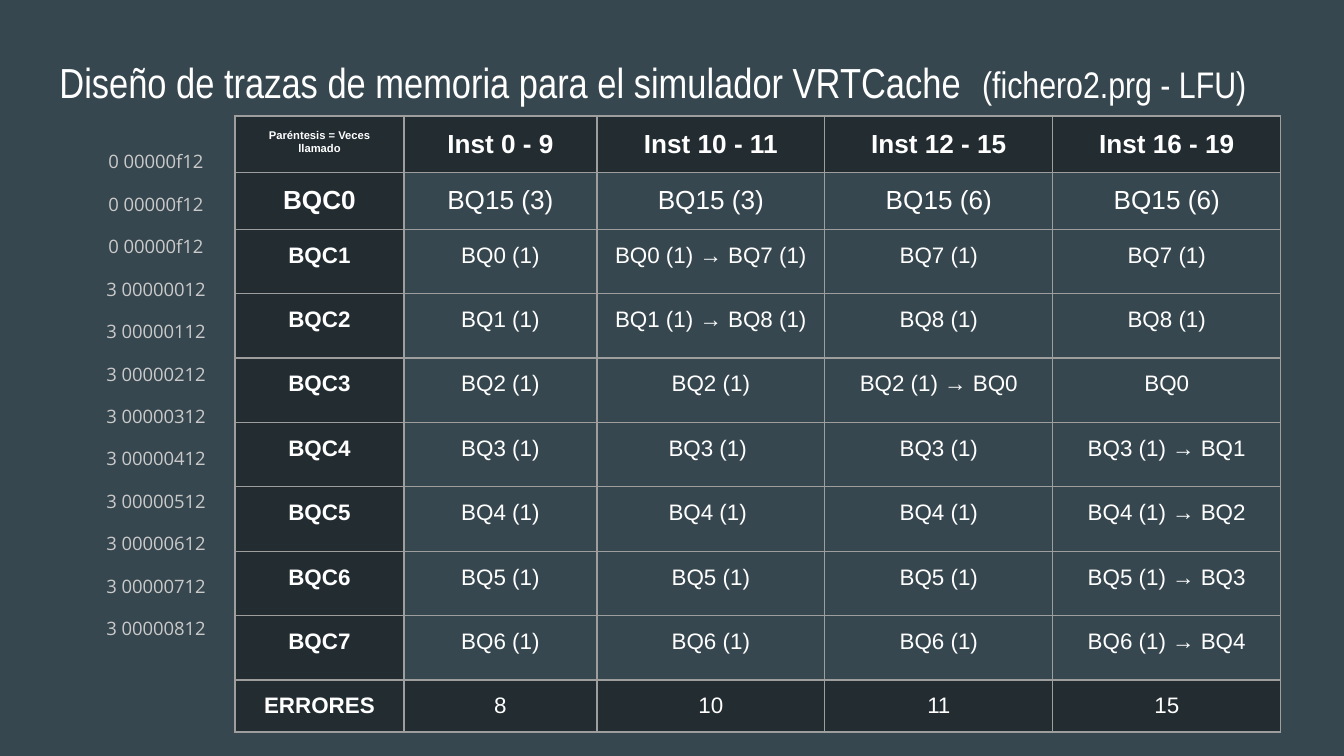
from lxml import etree
from pptx import Presentation
from pptx import util as u
from pptx.dml.color import RGBColor
from pptx.enum import text
from pptx.oxml.ns import qn

# Content
TITLE = [("Diseño de trazas de memoria para el simulador VRTCache  ", 22.5),
         ("(fichero2.prg - LFU)", 19.8)]
TRACES = ["0 00000f12"] * 3 + [f"3 00000{n}12" for n in range(9)]
ROWS = [
    ("Paréntesis = Veces llamado", "Inst 0 - 9", "Inst 10 - 11", "Inst 12 - 15", "Inst 16 - 19"),
    ("BQC0", "BQ15 (3)", "BQ15 (3)", "BQ15 (6)", "BQ15 (6)"),
    ("BQC1", "BQ0 (1)", "BQ0 (1) → BQ7 (1)", "BQ7 (1)", "BQ7 (1)"),
    ("BQC2", "BQ1 (1)", "BQ1 (1) → BQ8 (1)", "BQ8 (1)", "BQ8 (1)"),
    ("BQC3", "BQ2 (1)", "BQ2 (1)", "BQ2 (1) → BQ0", "BQ0"),
    ("BQC4", "BQ3 (1)", "BQ3 (1) ", "BQ3 (1)", "BQ3 (1) → BQ1"),
    ("BQC5", "BQ4 (1)", "BQ4 (1) ", "BQ4 (1)", "BQ4 (1) → BQ2"),
    ("BQC6", "BQ5 (1)", "BQ5 (1)", "BQ5 (1)", "BQ5 (1) → BQ3"),
    ("BQC7", "BQ6 (1)", "BQ6 (1)", "BQ6 (1)", "BQ6 (1) → BQ4"),
    ("ERRORES", "8", "10", "11", "15"),
]
COLORS = {"bg": "37474F", "dark": "222C31", "text": "FFFFFF",
          "trace": "CACACA", "border": "9E9E9E"}

# Layout in px
SCALE = 914400 / 134.4
TITLE_BOX = (46, 39, 1252, 85)
TRACE_BOX = (46, 136, 220, 559)
TABLE_LEFT, TABLE_TOP = 235, 116
COLS = [169, 193, 228, 228, 228]
HEIGHTS = [56, 57] + [451 / 7] * 7 + [51]
INSET = 13.44


def px(n):
    return u.Emu(round(n * SCALE))


def color(name):
    return RGBColor.from_string(COLORS[name])


def add_run(p, content, size, font="Arial", fill="text", bold=False):
    r = p.add_run()
    r.text = content
    r.font.size, r.font.name, r.font.bold = u.Pt(size), font, bold
    r.font.color.rgb = color(fill)


def place(sp, box, anchor):
    sp.left, sp.top, sp.width, sp.height = map(px, box)
    tf = sp.text_frame
    tf.margin_left = tf.margin_right = tf.margin_top = tf.margin_bottom = px(INSET)
    tf.word_wrap, tf.auto_size = True, text.MSO_AUTO_SIZE.NONE
    tf.vertical_anchor = anchor
    return tf


def add_borders(cell):
    tcPr = cell._tc.get_or_add_tcPr()
    for i, side in enumerate(("lnL", "lnR", "lnT", "lnB")):
        ln = etree.Element(qn(f"a:{side}"), w=str(u.Pt(0.75)))
        fill = etree.SubElement(ln, qn("a:solidFill"))
        etree.SubElement(fill, qn("a:srgbClr"), val=COLORS["border"])
        tcPr.insert(i, ln)


prs = Presentation()
prs.slide_width, prs.slide_height = px(1344), px(756)
s = prs.slides.add_slide(prs.slide_layouts[1])
s.background.fill.solid()
s.background.fill.fore_color.rgb = color("bg")

# Title
tf = place(s.shapes.title, TITLE_BOX, text.MSO_ANCHOR.MIDDLE)
p = tf.paragraphs[0]
p.alignment = text.PP_ALIGN.LEFT
for content, size in TITLE:
    add_run(p, content, size, font="Arial Narrow")

# Memory traces
tf = place(s.placeholders[1], TRACE_BOX, text.MSO_ANCHOR.TOP)
for i, trace in enumerate(TRACES):
    p = tf.add_paragraph() if i else tf.paragraphs[0]
    p.alignment, p.line_spacing = text.PP_ALIGN.CENTER, 1.05
    p.space_before = u.Pt(10.3 if i else 0)
    pPr = p._p.get_or_add_pPr()
    pPr.set("marL", "0")
    pPr.set("indent", "0")
    etree.SubElement(pPr, qn("a:buNone"))
    add_run(p, trace, 9.9, font="Open Sans", fill="trace")

# Cache table
table = s.shapes.add_table(len(ROWS), len(COLS), px(TABLE_LEFT), px(TABLE_TOP),
                           px(sum(COLS)), px(sum(HEIGHTS))).table
table.first_row = table.horz_banding = False
for column, width in zip(table.columns, COLS):
    column.width = px(width)
for i, (row, height, values) in enumerate(zip(table.rows, HEIGHTS, ROWS)):
    row.height = px(height)
    for j, (cell, value) in enumerate(zip(row.cells, values)):
        cell.margin_left = cell.margin_right = px(INSET)
        cell.margin_top = cell.margin_bottom = px(INSET)
        if j == 0 or i in (0, len(ROWS) - 1):
            cell.fill.solid()
            cell.fill.fore_color.rgb = color("dark")
        else:
            cell.fill.background()
        add_borders(cell)
        p = cell.text_frame.paragraphs[0]
        p.alignment = text.PP_ALIGN.CENTER
        size = 6 if i == j == 0 else 14 if i < 2 else 12
        add_run(p, value, size, bold=i == 0 or j == 0)

prs.save("out.pptx")
